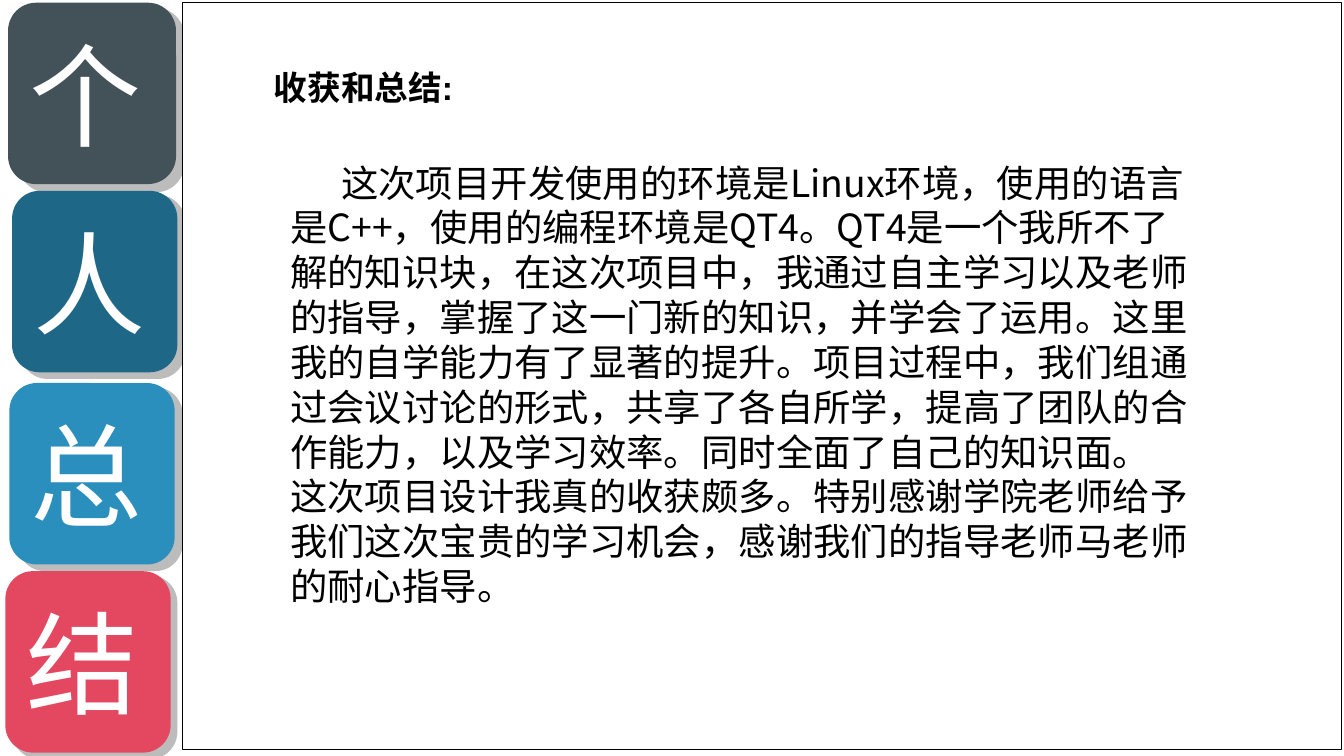
from pptx import Presentation
from pptx.dml.color import RGBColor
from pptx.enum.shapes import MSO_SHAPE as Shape
from pptx.enum.text import MSO_ANCHOR as Anchor, PP_ALIGN as Align
from pptx.oxml.ns import qn
from pptx.util import Inches, Pt
from lxml.etree import SubElement

WHITE = RGBColor(0xFF, 0xFF, 0xFF)
BLACK = RGBColor(0x00, 0x00, 0x00)
GRAY = RGBColor(0xBC, 0xBC, 0xBC)
SLATE = RGBColor(0x43, 0x52, 0x58)
TEAL = RGBColor(0x1E, 0x67, 0x87)
BLUE = RGBColor(0x2A, 0x8F, 0xBD)
RED = RGBColor(0xE4, 0x48, 0x60)

CJK_FONT = "Noto Sans CJK SC"
TILE_HEIGHT = 1.35
SHADE_WIDTH, SHADE_HEIGHT = 1.23, 1.37

# Content: character, colour, tile position, tile width, offset of its shade
TILES = [
    ("个", SLATE, (0.06, 0.02), 1.25, (0.08, 0.04)),
    ("人", TEAL, (0.09, 1.42), 1.23, (0.06, 0.03)),
    ("总", BLUE, (0.07, 2.85), 1.23, (0.06, 0.03)),
    ("结", RED, (0.04, 4.25), 1.23, (0.05, 0.03)),
]
HEADING = "收获和总结:"
BODY = [
    "这次项目开发使用的环境是Linux环境，使用的语言是C++，使用的编程环境是QT4。"
    "QT4是一个我所不了解的知识块，在这次项目中，我通过自主学习以及老师的指导，"
    "掌握了这一门新的知识，并学会了运用。这里我的自学能力有了显著的提升。"
    "项目过程中，我们组通过会议讨论的形式，共享了各自所学，提高了团队的合作能力，"
    "以及学习效率。同时全面了自己的知识面。",
    "这次项目设计我真的收获颇多。特别感谢学院老师给予我们这次宝贵的学习机会，"
    "感谢我们的指导老师马老师的耐心指导。",
]
FIRST_LINE_INDENT = Inches(0.38)


def add_block(kind, left, top, width, height, fill):
    block = page.shapes.add_shape(
        kind, Inches(left), Inches(top), Inches(width), Inches(height))
    block.shadow.inherit = False
    block.fill.solid()
    block.fill.fore_color.rgb = fill
    block.line.fill.background()
    return block


def write(frame, texts, size, color, font=CJK_FONT, bold=False):
    frame.word_wrap = True
    for index, text in enumerate(texts):
        para = frame.paragraphs[0] if index == 0 else frame.add_paragraph()
        para.text = text
        para.alignment = Align.LEFT
        # Keep closing punctuation inside the box
        para._p.get_or_add_pPr().set("hangingPunct", "0")
        para.font.size = Pt(size)
        para.font.bold = bold
        para.font.color.rgb = color
        para.font.name = font
        SubElement(para.font._element, qn("a:ea")).set("typeface", CJK_FONT)


def add_text(left, top, width, height, texts, size, **style):
    box = page.shapes.add_textbox(
        Inches(left), Inches(top), Inches(width), Inches(height))
    write(box.text_frame, texts, size, BLACK, **style)
    return box


deck = Presentation()
deck.slide_width = Inches(10)
deck.slide_height = deck.slide_width * 9 // 16
page = deck.slides.add_slide(deck.slide_layouts[6])

# Title tiles, each over its gray shade
for character, color, (left, top), width, (shift_x, shift_y) in TILES:
    add_block(Shape.ROUNDED_RECTANGLE, left + shift_x, top + shift_y,
              SHADE_WIDTH, SHADE_HEIGHT, GRAY)
    tile = add_block(Shape.ROUNDED_RECTANGLE, left, top,
                     width, TILE_HEIGHT, color)
    tile.text_frame.vertical_anchor = Anchor.MIDDLE
    write(tile.text_frame, [character], 60, WHITE)

# Content panel
panel = add_block(Shape.RECTANGLE, 1.36, 0.02, 8.62, 5.56, WHITE)
panel.line.color.rgb = BLACK
panel.line.width = Pt(0.75)

# Heading and body
add_text(1.94, 0.45, 3.1, 0.4, [HEADING], 18, font="Arial", bold=True)
body = add_text(2.06, 1.14, 6.95, 3.44, BODY, 20)
first = body.text_frame.paragraphs[0]._p.get_or_add_pPr()
first.set("indent", str(FIRST_LINE_INDENT))

deck.save("out.pptx")
